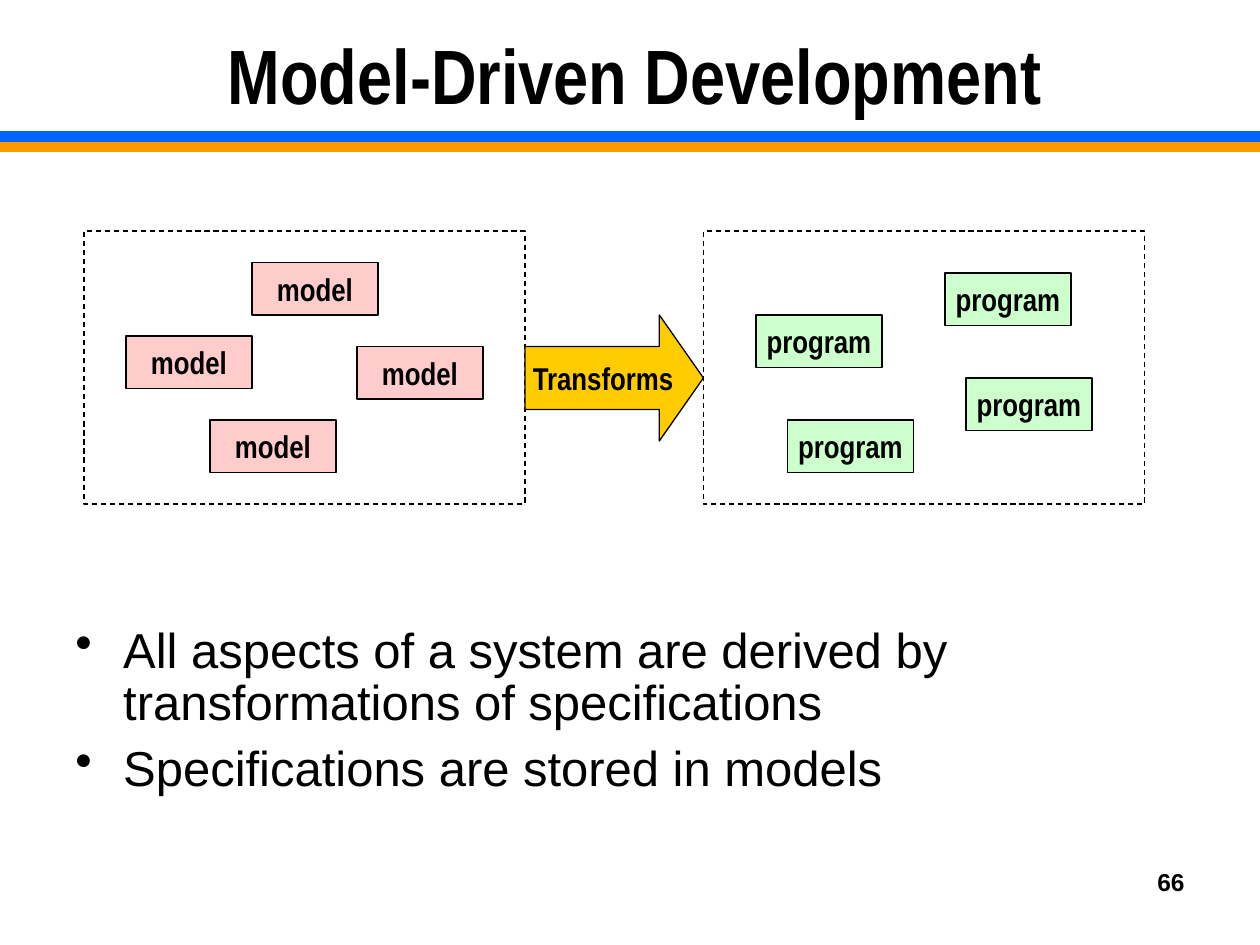
from lxml import etree
from pptx import Presentation
from pptx.dml.color import RGBColor
from pptx.enum.dml import MSO_LINE
from pptx.enum.shapes import MSO_CONNECTOR, MSO_SHAPE
from pptx.enum.text import MSO_ANCHOR, PP_ALIGN
from pptx.oxml.ns import qn
from pptx.util import Inches, Pt

RECT, ARROW = MSO_SHAPE.RECTANGLE, MSO_SHAPE.RIGHT_ARROW
LINE, DASH = MSO_CONNECTOR.STRAIGHT, MSO_LINE.DASH
TOP, MIDDLE = MSO_ANCHOR.TOP, MSO_ANCHOR.MIDDLE
LEFT, CENTER, RIGHT = PP_ALIGN.LEFT, PP_ALIGN.CENTER, PP_ALIGN.RIGHT
BLACK = RGBColor(0x00, 0x00, 0x00)
WHITE = RGBColor(0xFF, 0xFF, 0xFF)
BLUE = RGBColor(0x00, 0x66, 0xFF)
ORANGE = RGBColor(0xFF, 0x99, 0x00)
PINK = RGBColor(0xFF, 0xCC, 0xCC)
GREEN = RGBColor(0xCC, 0xFF, 0xCC)
GOLD = RGBColor(0xFF, 0xCC, 0x00)

deck = Presentation()
deck.slide_width, deck.slide_height = Inches(10), Inches(7.5)
slide = deck.slides.add_slide(deck.slide_layouts[6])
shapes = slide.shapes
CELL = deck.slide_width / 120


def grid(*cells):
    return [round(cell * CELL) for cell in cells]


def write(shape, lines, size, face, bold, align, anchor, wrap):
    frame = shape.text_frame
    frame.word_wrap = wrap
    frame.vertical_anchor = anchor
    frame.text = "\n".join(lines)
    for para in frame.paragraphs:
        para.alignment = align
        para.font.size = Pt(size)
        para.font.name = face
        para.font.bold = bold
        para.font.color.rgb = BLACK


for row, color in ((14, ORANGE), (13, BLUE)):
    band = shapes.add_connector(LINE, *grid(0, row, 120, row))
    band.line.color.rgb = color
    band.line.width = Pt(6)
    etree.SubElement(band.element.spPr, qn("a:effectLst"))

title = shapes.add_textbox(*grid(6, 2, 109, 10))
write(title, ["Model-Driven Development"], 44, "Arial Narrow", True, CENTER, MIDDLE, True)

parts = []
groups = (
    (8, "model", PINK, ((24, 25), (12, 32), (34, 33), (20, 40))),
    (67, "program", GREEN, ((90, 26), (72, 30), (92, 36), (75, 40))),
)
for left, label, color, spots in groups:
    parts.append((RECT, (left, 22, 42, 26), WHITE, ""))
    for col, row in spots:
        parts.append((RECT, (col, row, 12, 5), color, label))
parts.append((ARROW, (50, 30, 17, 12), GOLD, "Transforms"))

for kind, cells, color, label in parts:
    shape = shapes.add_shape(kind, *grid(*cells))
    shape.shadow.inherit = False
    shape.fill.solid()
    shape.fill.fore_color.rgb = color
    shape.line.color.rgb = BLACK
    shape.line.width = Pt(0.75)
    if kind == ARROW:
        shape.adjustments[1] = 0.35
    if label:
        write(shape, [label], 18, "Arial Narrow", True, CENTER, MIDDLE, False)
    else:
        shape.line.dash_style = DASH

body = shapes.add_textbox(*grid(6, 59, 108, 19.3))
points = [
    "All aspects of a system are derived by transformations of specifications",
    "Specifications are stored in models",
]
body.text_frame.text = "\n".join(points)
write(body, points, 28, "Arial", False, LEFT, TOP, True)
for index, para in enumerate(body.text_frame.paragraphs):
    para.line_spacing = 0.9
    para.space_before = Pt(7 if index else 0)
    props = para._p.get_or_add_pPr()
    props.set("marL", str(Inches(0.38)))
    props.set("indent", str(-Inches(0.38)))
    bullet = etree.Element(qn("a:buChar"), char="•")
    props.find(qn("a:defRPr")).addprevious(bullet)

number = shapes.add_textbox(*grid(86, 82, 28, 6.2))
write(number, ["66"], 14, "Arial", True, RIGHT, TOP, True)

deck.save("out.pptx")
